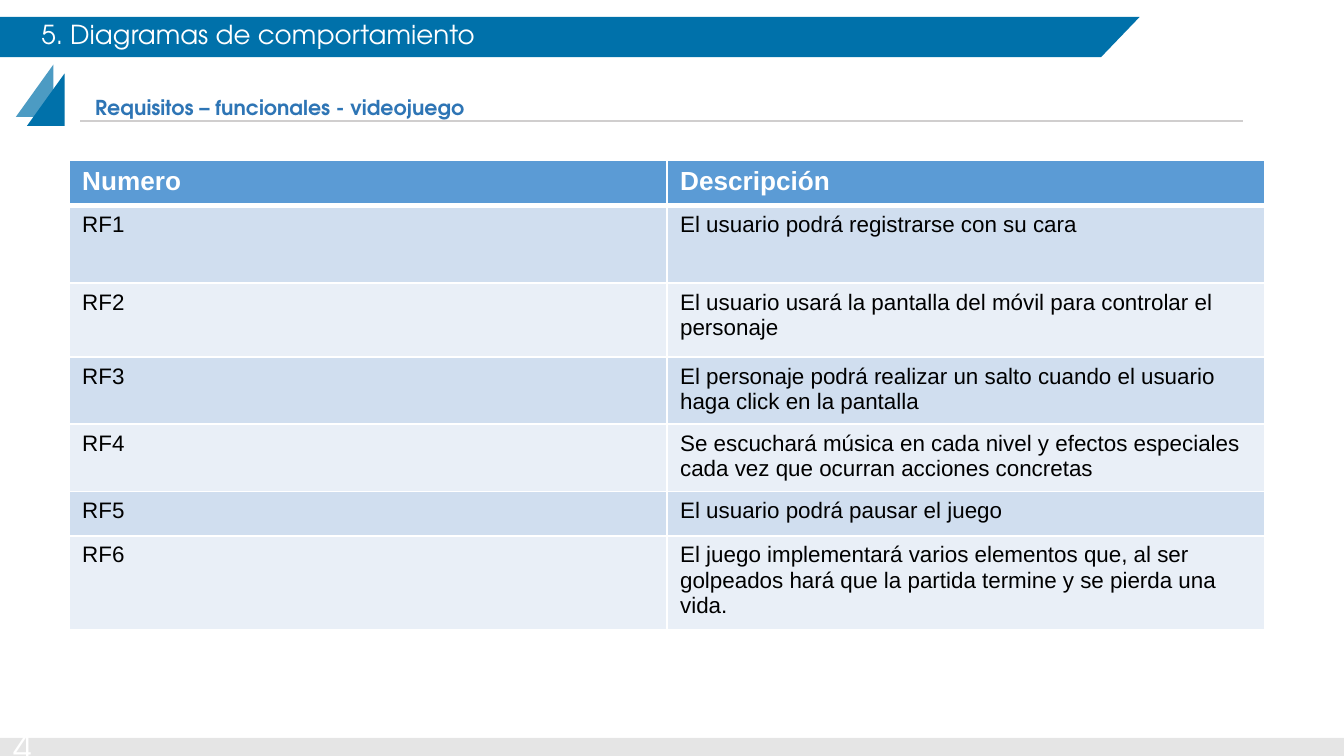
"""Build the slide that lists the functional requirements of the video game."""
from dataclasses import dataclass

from lxml.etree import SubElement
from pptx import Presentation
from pptx.dml.color import RGBColor
from pptx.enum.shapes import MSO_CONNECTOR, MSO_SHAPE
from pptx.enum.text import MSO_ANCHOR, MSO_AUTO_SIZE, PP_ALIGN
from pptx.oxml.ns import qn
from pptx.util import Cm, Pt


@dataclass(frozen=True)
class Theme:
    """Colours, fonts and type sizes of the slide."""
    blue: str = "0071AA"
    sub: str = "2E75B5"
    head: str = "5B9BD5"
    bands: tuple = ("D0DEEF", "E9EFF7")
    rule: str = "D0CECE"
    white: str = "FFFFFF"
    black: str = "000000"
    brand: str = "TeX Gyre Adventor"
    plain: str = "Arial"
    large: int = 18
    title: int = 14
    body: int = 12
    small: int = 11


THEME = Theme()
ROWS = [
    ("Numero", "Descripción", 0.84),
    ("RF1", "El usuario podrá registrarse con su cara", 1.47),
    ("RF2", "El usuario usará la pantalla del móvil para controlar el personaje", 1.4),
    ("RF3", "El personaje podrá realizar un salto cuando el usuario haga click "
            "en la pantalla", 1.27),
    ("RF4", "Se escuchará música en cada nivel y efectos especiales cada vez "
            "que ocurran acciones concretas", 1.27),
    ("RF5", "El usuario podrá pausar el juego", 0.84),
    ("RF6", "El juego implementará varios elementos que, al ser golpeados hará "
            "que la partida termine y se pierda una vida.", 1.78),
]


def write(frame, text, font=THEME.brand, size=THEME.body, color=THEME.white,
          bold=False, space=1.0):
    """Put one formatted paragraph of text into a frame."""
    frame.word_wrap = True
    line = frame.paragraphs[0]
    line.alignment = PP_ALIGN.LEFT
    line.line_spacing = space
    run = line.add_run()
    run.text = text
    run.font.name = font
    run.font.size = Pt(size)
    run.font.bold = bold
    run.font.color.rgb = RGBColor.from_string(color)


def paint(shape, color, alpha=100):
    """Give a shape a flat fill with no line or shadow."""
    shape.shadow.inherit = False
    shape.line.fill.background()
    shape.fill.solid()
    shape.fill.fore_color.rgb = RGBColor.from_string(color)
    if alpha < 100:
        tone = shape.element.xpath("./p:spPr/a:solidFill/a:srgbClr")[0]
        SubElement(tone, qn("a:alpha"), val=str(alpha * 1000))


def add_block(slide, kind, box, color, alpha=100, turn=0):
    """Add a filled preset shape."""
    shape = slide.shapes.add_shape(kind, *map(Cm, box))
    shape.rotation = turn
    paint(shape, color, alpha)


def add_banner(slide):
    """Add the title band with its slanted right end."""
    maker = slide.shapes.build_freeform(0, Cm(0.32), scale=1.0)
    points = [(21.54, 0.32), (20.81, 1.08), (0, 1.08)]
    maker.add_line_segments([(Cm(x), Cm(y)) for x, y in points], close=True)
    paint(maker.convert_to_shape(), THEME.blue)


def add_title(slide, text):
    """Place the title in front of the banner."""
    title = slide.shapes.title
    title.element.getparent().append(title.element)
    title.left, title.top, title.width, title.height = map(Cm, (0.5, 0.32, 20.27, 0.74))
    frame = title.text_frame
    frame.auto_size = MSO_AUTO_SIZE.NONE
    frame.vertical_anchor = MSO_ANCHOR.MIDDLE
    frame.margin_left = frame.margin_right = Cm(0.28)
    write(frame, text, size=THEME.title, space=0.9)


def add_label(slide, text, box, **style):
    """Add a text box."""
    label = slide.shapes.add_textbox(*map(Cm, box))
    write(label.text_frame, text, **style)


def add_rule(slide, left, right, top):
    """Add a thin level line."""
    rule = slide.shapes.add_connector(
        MSO_CONNECTOR.STRAIGHT, Cm(left), Cm(top), Cm(right), Cm(top))
    rule.line.color.rgb = RGBColor.from_string(THEME.rule)
    rule.line.width = Pt(0.75)
    SubElement(rule.element.spPr, qn("a:effectLst"))


def edge_cell(cell, sides):
    """Draw white cell borders, given as a width in points for each side."""
    props = cell._tc.get_or_add_tcPr()
    for side, width in sides.items():
        line = SubElement(props, qn(f"a:ln{side}"), w=str(Pt(width)))
        fill = SubElement(line, qn("a:solidFill"))
        SubElement(fill, qn("a:srgbClr"), val=THEME.white)


def add_grid(slide, rows):
    """Add the table with a bold header and banded rows."""
    high = sum(row[-1] for row in rows)
    grid = slide.shapes.add_table(
        len(rows), 2, Cm(1.3), Cm(3.03), Cm(22.6), Cm(high)).table
    for index, (*texts, height) in enumerate(rows):
        grid.rows[index].height = Cm(height)
        head = index == 0
        color = THEME.head if head else THEME.bands[(index - 1) % 2]
        for cell, text in zip(grid.rows[index].cells, texts):
            edge_cell(cell, {"L": 1, "R": 1, "T": 3 if index == 1 else 1,
                             "B": 3 if head else 1})
            cell.fill.solid()
            cell.fill.fore_color.rgb = RGBColor.from_string(color)
            write(cell.text_frame, text, font=THEME.plain, bold=head,
                  size=THEME.title if head else THEME.body,
                  color=THEME.white if head else THEME.black)


def main():
    """Build and save the slide."""
    deck = Presentation()
    deck.slide_width, deck.slide_height = Cm(25.4), Cm(14.29)
    slide = deck.slides.add_slide(deck.slide_layouts[5])
    add_block(slide, MSO_SHAPE.RECTANGLE, (0, 13.95, 25.4, 0.34), THEME.black, alpha=10)
    add_banner(slide)
    add_label(slide, "4", (0, 13.59, 1.5, 0.76), size=THEME.large)
    add_title(slide, "5. Diagramas de comportamiento")
    for left, top, alpha in ((0.37, 1.53, 100), (0.16, 1.36, 70)):
        add_block(slide, MSO_SHAPE.RIGHT_TRIANGLE, (left, top, 0.99, 0.71),
                  THEME.blue, alpha=alpha, turn=270)
    add_rule(slide, 1.52, 23.5, 2.29)
    add_label(slide, "Requisitos – funcionales - videojuego", (1.55, 1.57, 22.07, 0.74),
              size=THEME.small, color=THEME.sub, bold=True, space=1.2)
    add_grid(slide, ROWS)
    deck.save("out.pptx")


if __name__ == "__main__":
    main()
